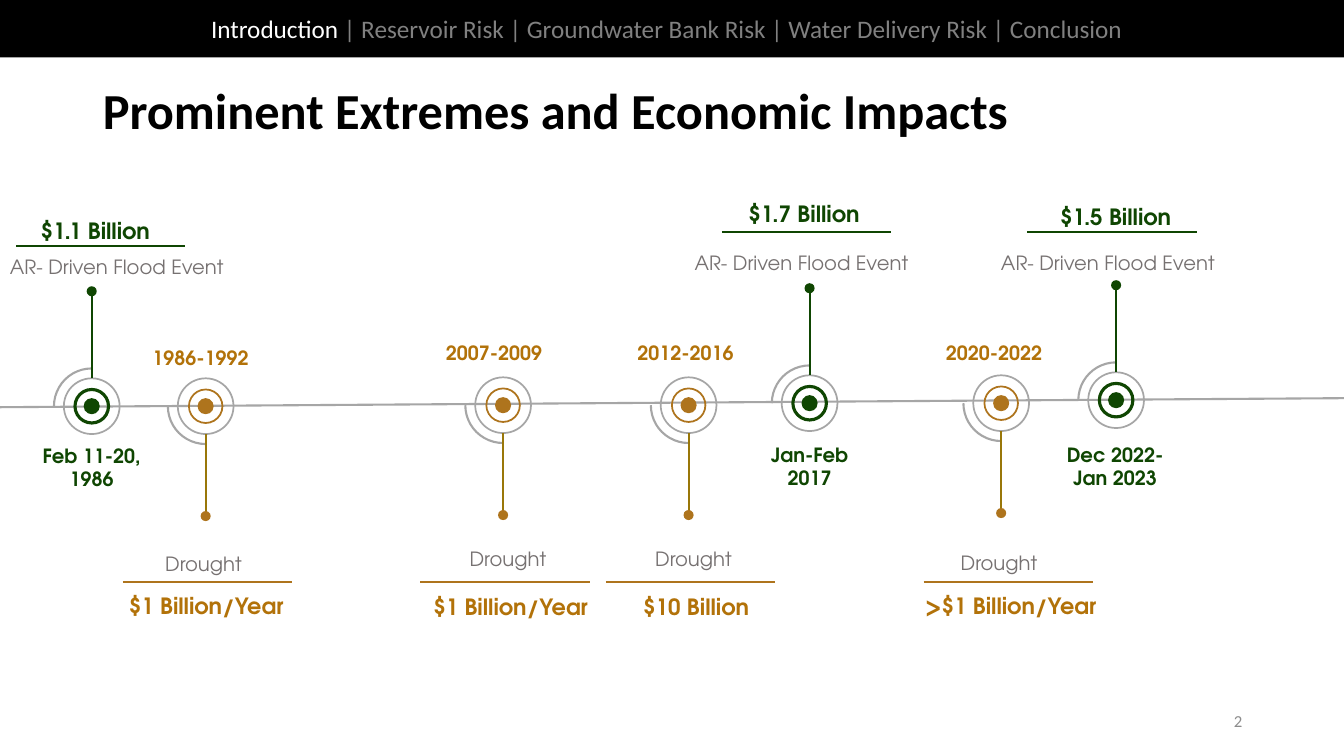
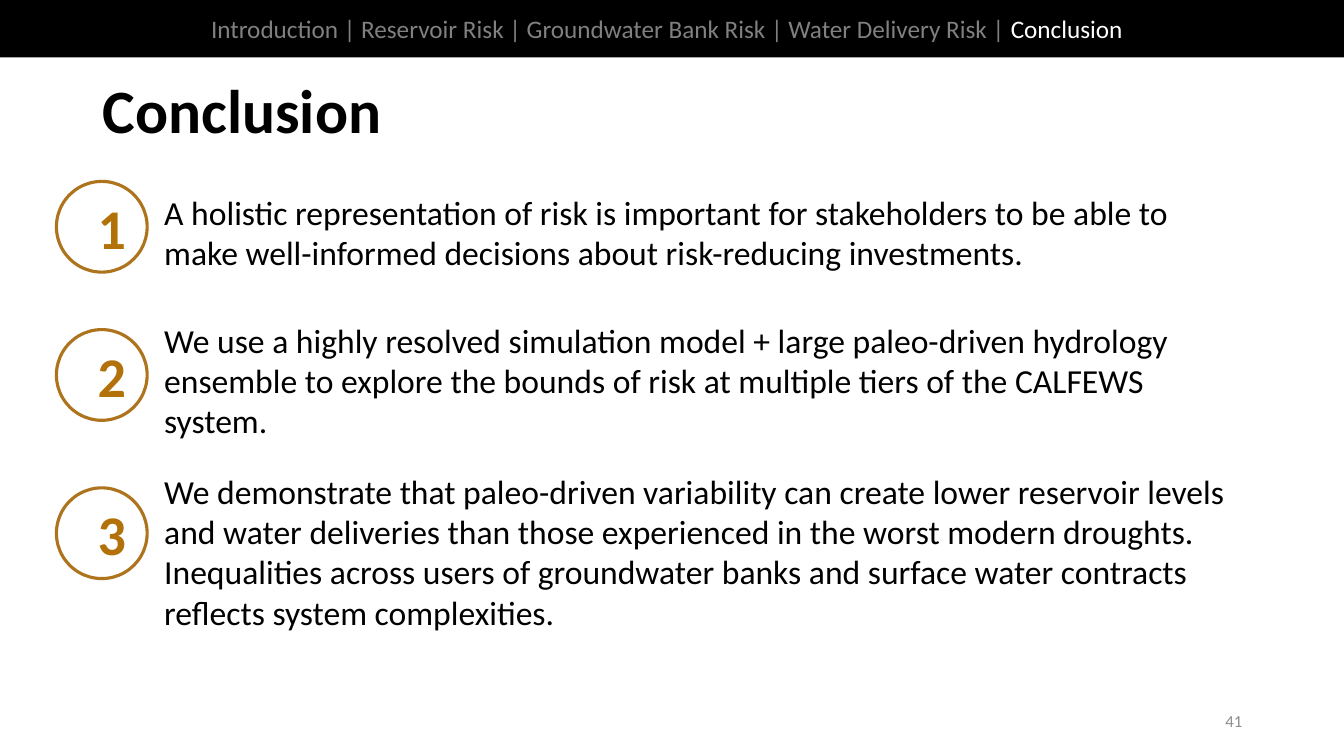
from dataclasses import dataclass

from lxml import etree
from pptx import Presentation
from pptx.dml.color import RGBColor
from pptx.enum.shapes import MSO_CONNECTOR, MSO_SHAPE
from pptx.enum.text import MSO_ANCHOR, MSO_AUTO_SIZE, PP_ALIGN
from pptx.oxml.ns import qn
from pptx.util import Inches, Pt

LEFT, CENTER, RIGHT = PP_ALIGN.LEFT, PP_ALIGN.CENTER, PP_ALIGN.RIGHT
TOP, MIDDLE = MSO_ANCHOR.TOP, MSO_ANCHOR.MIDDLE
NO_AUTOFIT = MSO_AUTO_SIZE.NONE
STRAIGHT = MSO_CONNECTOR.STRAIGHT
RECTANGLE, OVAL = MSO_SHAPE.RECTANGLE, MSO_SHAPE.OVAL
DONUT, ARC = MSO_SHAPE.DONUT, MSO_SHAPE.ARC

BLACK = RGBColor(0x00, 0x00, 0x00)
WHITE = RGBColor(0xFF, 0xFF, 0xFF)
NAV_GRAY = RGBColor(0x80, 0x80, 0x80)
NUMBER_GRAY = RGBColor(0x8C, 0x8C, 0x8C)
RING_GRAY = RGBColor(0xA6, 0xA6, 0xA6)
CAUSE_GRAY = RGBColor(0x76, 0x71, 0x71)
GREEN = RGBColor(0x0F, 0x46, 0x02)
BRONZE = RGBColor(0xAE, 0x74, 0x1D)
OCHRE = RGBColor(0xB2, 0x72, 0x09)
OLIVE = RGBColor(0x99, 0x77, 0x09)

CELL = Inches(1)
COLUMNS, ROWS = 13.33, 7.5
BODY_FONT, TIMELINE_FONT = "Calibri", "TeX Gyre Adventor"
SECTIONS = ["Introduction", "Reservoir Risk", "Groundwater Bank Risk",
            "Water Delivery Risk", "Conclusion"]

NAV = {"name": BODY_FONT, "size": Pt(18), "bold": False}
PAGE = {"name": BODY_FONT, "size": Pt(12), "bold": False}
FINDING = {"name": BODY_FONT, "size": Pt(24), "bold": False}
ORDINAL = {"name": BODY_FONT, "size": Pt(40), "bold": True}
CAUSE = {"name": TIMELINE_FONT, "size": Pt(14), "bold": False}
DATE = {"name": TIMELINE_FONT, "size": Pt(14), "bold": True}
AMOUNT = {"name": TIMELINE_FONT, "size": Pt(16), "bold": True}


@dataclass
class Kind:
    cause: str
    accent: RGBColor
    text: RGBColor
    stem: RGBColor
    direction: int
    reach: float
    arc_turn: int
    ring_outline: float
    date_rows: float


FLOOD = Kind("AR- Driven Flood Event", GREEN, GREEN, GREEN, -1, 1.14, 90, 1, 0.57)
DROUGHT = Kind("Drought", BRONZE, OCHRE, OLIVE, 1, 1.09, 0, 0, 0.34)


@dataclass
class Event:
    kind: Kind
    center: tuple
    date: str
    date_at: tuple
    cause_at: tuple
    rule_at: tuple
    amount: str
    amount_at: tuple


EVENTS = [
    Event(FLOOD, (0.91, 4.03), "Feb 11-20, 1986", (0.29, 4.35),
          (0, 2.48), (0.16, 2.44), "$1.1 Billion", (-0.06, 2.11)),
    Event(DROUGHT, (2.04, 4.03), "1986-1992", (1.37, 3.38),
          (1.54, 5.43), (1.22, 5.77), "$1 Billion/Year", (1.04, 5.83)),
    Event(DROUGHT, (4.99, 4.02), "2007-2009", (4.28, 3.33),
          (4.56, 5.38), (4.17, 5.77), "$1 Billion/Year", (4.06, 5.84)),
    Event(DROUGHT, (6.83, 4.02), "2012-2016", (6.18, 3.33),
          (6.4, 5.38), (6.01, 5.77), "$10 Billion", (5.9, 5.84)),
    Event(FLOOD, (8.03, 4), "Jan-Feb 2017", (7.41, 4.34),
          (6.79, 2.44), (7.16, 2.3), "$1.7 Billion", (6.97, 1.94)),
    Event(DROUGHT, (9.93, 4), "2020-2022", (9.24, 3.33),
          (9.43, 5.42), (9.16, 5.77), ">$1 Billion/Year", (9.02, 5.83)),
    Event(FLOOD, (11.07, 3.97), "Dec 2022-Jan 2023", (10.44, 4.34),
          (9.83, 2.44), (10.19, 2.3), "$1.5 Billion", (10.06, 1.97)),
]

FINDINGS = [
    (1.8, 1.85, 0.91, "A holistic representation of risk is important for stakeholders "
     "to be able to make well-informed decisions about risk-reducing investments."),
    (3.27, 3.12, 1.31, "We use a highly resolved simulation model + large paleo-driven "
     "hydrology ensemble to explore the bounds of risk at multiple tiers of the "
     "CALFEWS system."),
    (4.84, 4.62, 1.72, "We demonstrate that paleo-driven variability can create lower "
     "reservoir levels and water deliveries than those experienced in the worst modern "
     "droughts. Inequalities across users of groundwater banks and surface water "
     "contracts reflects system complexities."),
]


def cells(*counts):
    return [round(count * CELL) for count in counts]


class Deck:
    def __init__(self):
        self.presentation = Presentation()
        self.presentation.slide_width, self.presentation.slide_height = cells(COLUMNS, ROWS)
        self.slide = None

    def new_slide(self, title, title_size, section, page):
        layout = self.presentation.slide_layouts[5]
        self.slide = self.presentation.slides.add_slide(layout)
        heading = self.slide.shapes.title
        heading.left, heading.top, heading.width, heading.height = cells(0.92, 0.4, 11.5, 1.45)
        style = {"name": BODY_FONT, "size": Pt(title_size), "bold": True}
        self.set_text(heading, [(title, BLACK)], style, LEFT, MIDDLE)
        heading.text_frame.paragraphs[0].line_spacing = 0.9
        self.navigation(section)
        self.text(9.42, 6.95, 3, 0.4, str(page), PAGE, NUMBER_GRAY, RIGHT, MIDDLE)

    def set_text(self, holder, runs, style, align, anchor):
        frame = holder.text_frame
        layout = {"word_wrap": True, "auto_size": NO_AUTOFIT, "vertical_anchor": anchor}
        for key, value in layout.items():
            setattr(frame, key, value)
        paragraph = frame.paragraphs[0]
        paragraph.alignment = align
        for words, color in runs:
            run = paragraph.add_run()
            run.text = words
            for key, value in style.items():
                setattr(run.font, key, value)
            run.font.color.rgb = color

    def text(self, left, top, width, height, words, style, color, align=LEFT, anchor=TOP):
        box = self.slide.shapes.add_textbox(*cells(left, top, width, height))
        self.set_text(box, [(words, color)], style, align, anchor)

    def shape(self, preset, left, top, width, height, fill=None, outline=None, weight=0):
        figure = self.slide.shapes.add_shape(preset, *cells(left, top, width, height))
        figure.shadow.inherit = False
        if fill is None:
            figure.fill.background()
        else:
            figure.fill.solid()
            figure.fill.fore_color.rgb = fill
        if weight:
            figure.line.color.rgb = outline
            figure.line.width = Pt(weight)
        else:
            figure.line.fill.background()
        return figure

    def round_shape(self, preset, center, size, *paint):
        x, y = center
        return self.shape(preset, x - size / 2, y - size / 2, size, size, *paint)

    def line(self, x1, y1, x2, y2, color):
        stroke = self.slide.shapes.add_connector(STRAIGHT, *cells(x1, y1, x2, y2))
        stroke.line.color.rgb = color
        stroke.line.width = Pt(1.5)
        etree.SubElement(stroke._element.spPr, qn("a:effectLst"))

    def navigation(self, current):
        band = self.shape(RECTANGLE, 0, 0, COLUMNS, 0.57, BLACK)
        runs = []
        for section in SECTIONS:
            if runs:
                runs.append((" | ", NAV_GRAY))
            runs.append((section, WHITE if section == current else NAV_GRAY))
        self.set_text(band, runs, NAV, CENTER, MIDDLE)
        band.text_frame.margin_right = CELL // 5

    def marker(self, kind, center):
        x, y = center
        arc = self.round_shape(ARC, center, 0.75, None, RING_GRAY, 1.5)
        arc.adjustments[0], arc.adjustments[1] = 54, 108
        arc.rotation = kind.arc_turn
        self.round_shape(OVAL, center, 0.16, kind.accent)
        outer = self.round_shape(DONUT, center, 0.57, RING_GRAY)
        outer.adjustments[0] = 0.03
        inner = self.round_shape(DONUT, center, 0.35, kind.accent, kind.accent,
                                 kind.ring_outline)
        inner.adjustments[0] = 0.05
        end = y + kind.direction * kind.reach
        self.line(x, y + kind.direction * 0.28, x, end, kind.stem)
        self.round_shape(OVAL, (x, end), 0.1, kind.accent)

    def event(self, event):
        kind = event.kind
        self.marker(kind, event.center)
        self.text(*event.date_at, 1.24, kind.date_rows, event.date, DATE, kind.text, CENTER)
        self.text(*event.cause_at, 2.63, 0.34, kind.cause, CAUSE, CAUSE_GRAY)
        x, y = event.rule_at
        self.line(x, y, x + 1.68, y, kind.accent)
        self.text(*event.amount_at, 2.01, 0.37, event.amount, AMOUNT, kind.text, CENTER)

    def finding(self, number, badge_top, top, height, words):
        badge = self.shape(OVAL, 0.56, badge_top, 0.9, 0.9, WHITE, BRONZE, 2.25)
        self.set_text(badge, [(str(number), OCHRE)], ORDINAL, CENTER, MIDDLE)
        margins = {"margin_left": CELL // 5, "margin_right": 0,
                   "margin_top": 0, "margin_bottom": 0, "word_wrap": False}
        for key, value in margins.items():
            setattr(badge.text_frame, key, value)
        self.text(1.53, top, 10.95, height, words, FINDING, BLACK)


def main():
    deck = Deck()
    deck.new_slide("Prominent Extremes and Economic Impacts", 36, "Introduction", 2)
    deck.line(0, 4.04, COLUMNS, 3.95, RING_GRAY)
    for event in EVENTS:
        deck.event(event)

    deck.new_slide("Conclusion", 44, "Conclusion", 41)
    for number, finding in enumerate(FINDINGS, 1):
        deck.finding(number, *finding)
    deck.presentation.save("out.pptx")


if __name__ == "__main__":
    main()
